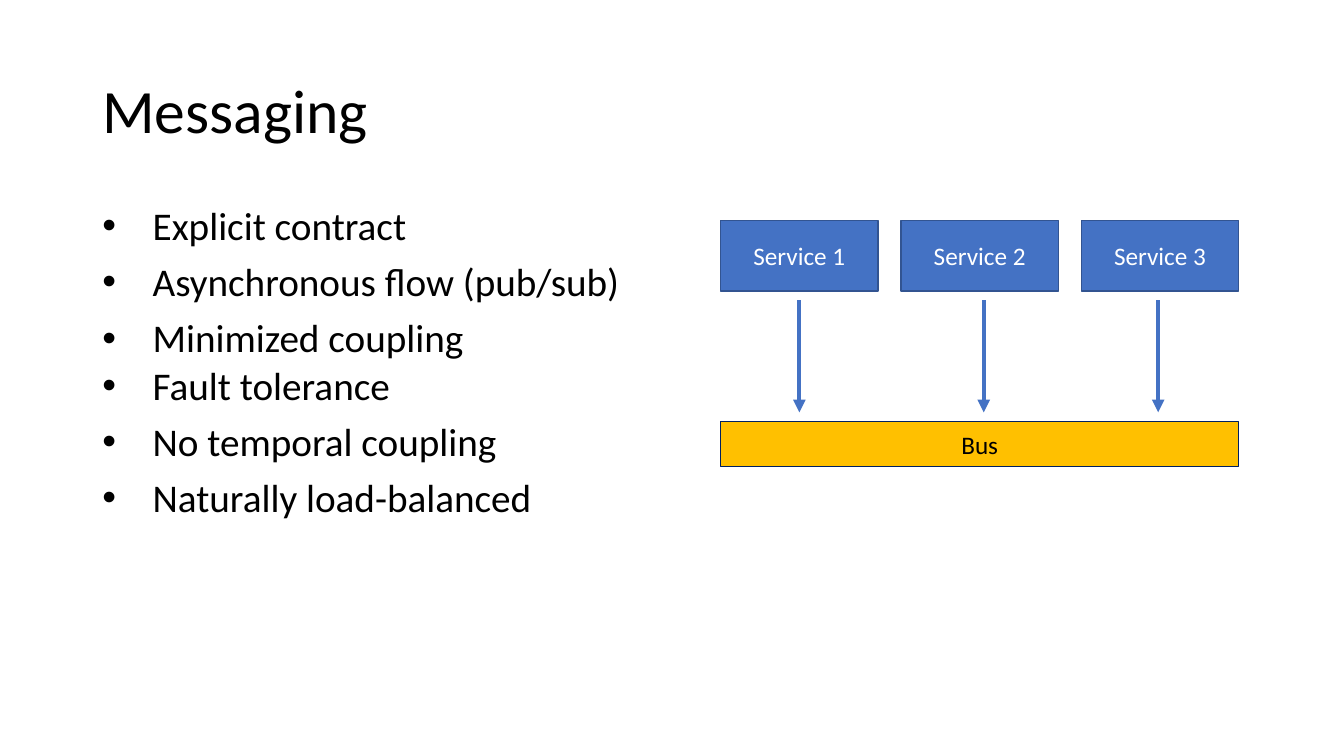
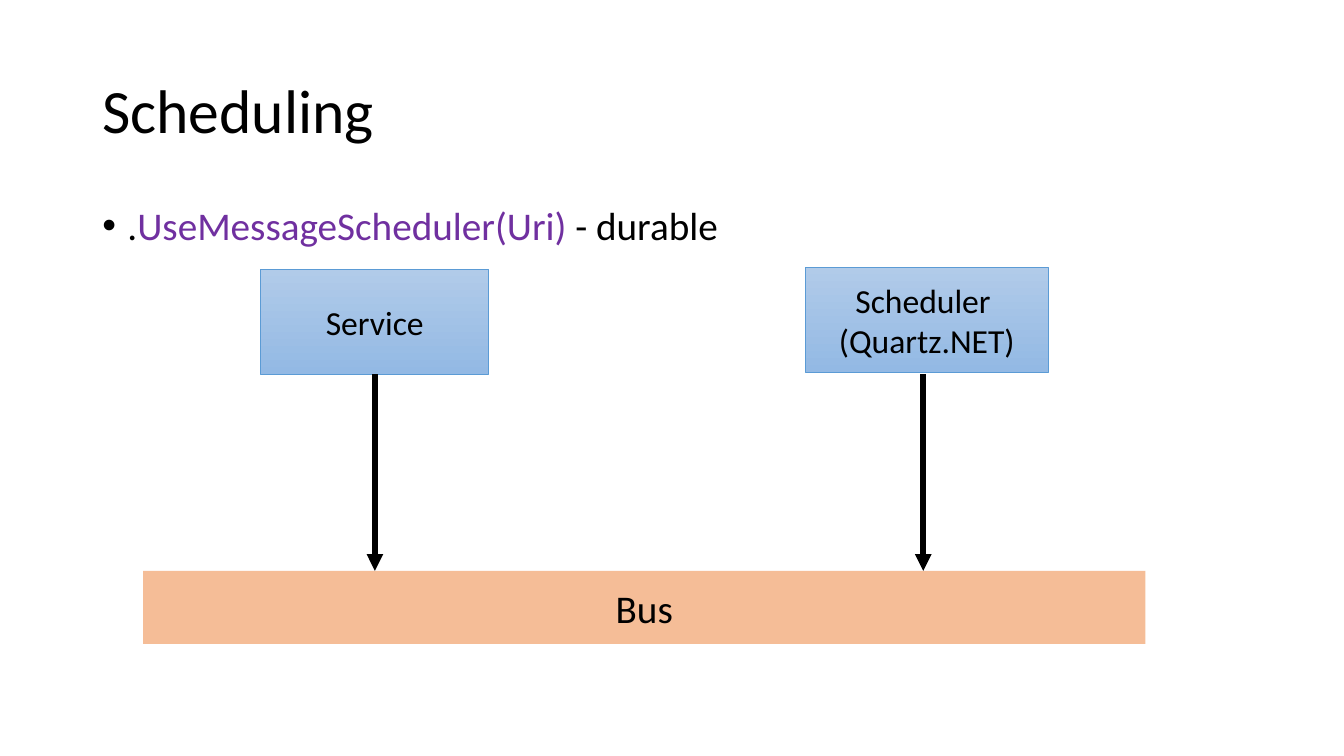
from dataclasses import dataclass
from typing import Optional, Sequence

from lxml.etree import SubElement
from pptx import Presentation
from pptx.dml.color import RGBColor
from pptx.enum.shapes import MSO_CONNECTOR, MSO_SHAPE
from pptx.enum.text import MSO_ANCHOR as Anchor, PP_ALIGN as Align
from pptx.oxml.ns import qn
from pptx.util import Pt

FONT = "Calibri"
BLACK = RGBColor(0x00, 0x00, 0x00)
WHITE = RGBColor(0xFF, 0xFF, 0xFF)
BLUE = RGBColor(0x44, 0x72, 0xC4)
DARK_BLUE = RGBColor(0x32, 0x54, 0x91)
NAVY = RGBColor(0x00, 0x20, 0x60)
GOLD = RGBColor(0xFF, 0xC0, 0x00)
ORANGE = RGBColor(0xED, 0x7D, 0x31)
PURPLE = RGBColor(0x70, 0x30, 0xA0)
SKY_LINE = RGBColor(0x5B, 0x9B, 0xD5)
SKY_TOP = RGBColor(0xB1, 0xCB, 0xE9)
SKY_BOTTOM = RGBColor(0x93, 0xB9, 0xE4)

MARGIN = 66
CONTENT_WIDTH = 828


@dataclass(frozen=True)
class Span:
    """A piece of text in one colour."""
    text: str
    color: RGBColor = BLACK


@dataclass(frozen=True)
class Bullet:
    """A bulleted line made of spans."""
    spans: Sequence[Span]
    indent: float = 36
    line_spacing: float = 0.9
    space_before: float = 10


@dataclass(frozen=True)
class BoxStyle:
    """The look of a labelled box; a second fill makes a gradient."""
    fill: RGBColor
    text_color: RGBColor
    size: float
    fill_end: Optional[RGBColor] = None
    opacity: int = 100
    line: Optional[RGBColor] = None
    line_width: float = 1


@dataclass(frozen=True)
class Box:
    """A labelled rectangle, in points."""
    label: str
    left: float
    top: float
    width: float
    height: float
    style: BoxStyle


@dataclass(frozen=True)
class Arrow:
    """A downward arrow, in points."""
    x: float
    top: float
    bottom: float
    color: RGBColor
    width: float


SERVICE_STYLE = BoxStyle(BLUE, WHITE, 18, line=DARK_BLUE)
GOLD_BUS_STYLE = BoxStyle(GOLD, BLACK, 18, line=NAVY)
SKY_STYLE = BoxStyle(SKY_TOP, BLACK, 24, fill_end=SKY_BOTTOM,
                     line=SKY_LINE, line_width=0.5)
ORANGE_BUS_STYLE = BoxStyle(ORANGE, BLACK, 28, opacity=50)


def style_font(font, size: float, color: Optional[RGBColor] = None) -> None:
    """Set typeface, size and, if given, colour."""
    font.name = FONT
    font.size = Pt(size)
    if color is not None:
        font.color.rgb = color


def add_text_frame(page, top: float, height: float):
    """Add a wrapping text box across the content width."""
    box = page.shapes.add_textbox(Pt(MARGIN), Pt(top), Pt(CONTENT_WIDTH), Pt(height))
    box.text_frame.word_wrap = True
    return box.text_frame


def add_title(page, title: str) -> None:
    """Add the slide title."""
    frame = add_text_frame(page, 28.75, 104.4)
    frame.vertical_anchor = Anchor.MIDDLE
    para = frame.paragraphs[0]
    para.text = title
    para.line_spacing = 0.9
    style_font(para.font, 44, BLACK)


def add_bullets(page, bullets: Sequence[Bullet]) -> None:
    """Add the bulleted body text."""
    frame = add_text_frame(page, 143.75, 342.7)
    for index, bullet in enumerate(bullets):
        para = frame.add_paragraph() if index else frame.paragraphs[0]
        para.line_spacing = bullet.line_spacing
        para.space_before = Pt(bullet.space_before)
        props = para._p.get_or_add_pPr()
        props.set("marL", str(Pt(bullet.indent)))
        props.set("indent", str(-Pt(bullet.indent)))
        SubElement(props, qn("a:buFont"), typeface="Arial")
        SubElement(props, qn("a:buChar"), char="•")
        style_font(para.font, 28)
        for span in bullet.spans:
            run = para.add_run()
            run.text = span.text
            run.font.color.rgb = span.color


def fill_box(shape, style: BoxStyle) -> None:
    """Apply the fill and outline of a box style."""
    fill = shape.fill
    if style.fill_end is not None:
        fill.gradient()
        fill.gradient_angle = 270
        for stop, color in zip(fill.gradient_stops, (style.fill, style.fill_end)):
            stop.color.rgb = color
    else:
        fill.solid()
        fill.fore_color.rgb = style.fill
        if style.opacity < 100:
            color = shape._element.spPr.find(qn("a:solidFill")).find(qn("a:srgbClr"))
            SubElement(color, qn("a:alpha"), val=str(style.opacity * 1000))
    if style.line is None:
        shape.line.fill.background()
    else:
        shape.line.color.rgb = style.line
        shape.line.width = Pt(style.line_width)


def add_box(page, box: Box) -> None:
    """Add a rectangle with a centred label."""
    shape = page.shapes.add_shape(MSO_SHAPE.RECTANGLE, Pt(box.left), Pt(box.top),
                                  Pt(box.width), Pt(box.height))
    shape.shadow.inherit = False
    fill_box(shape, box.style)
    frame = shape.text_frame
    frame.word_wrap = True
    frame.vertical_anchor = Anchor.MIDDLE
    para = frame.paragraphs[0]
    para.text = box.label
    para.alignment = Align.CENTER
    style_font(para.font, box.style.size, box.style.text_color)


def add_arrow(page, arrow: Arrow) -> None:
    """Add a straight arrow with a triangular head at the bottom."""
    connector = page.shapes.add_connector(MSO_CONNECTOR.STRAIGHT, Pt(arrow.x), Pt(arrow.top),
                                          Pt(arrow.x), Pt(arrow.bottom))
    connector.line.color.rgb = arrow.color
    connector.line.width = Pt(arrow.width)
    SubElement(connector.line._get_or_add_ln(), qn("a:tailEnd"), type="triangle")
    SubElement(connector._element.spPr, qn("a:effectLst"))


def add_page(deck, title: str, bullets: Sequence[Bullet],
             boxes: Sequence[Box], arrows: Sequence[Arrow]) -> None:
    """Add a slide with title, bullets and a diagram."""
    page = deck.slides.add_slide(deck.slide_layouts[6])
    add_title(page, title)
    add_bullets(page, bullets)
    for box in boxes:
        add_box(page, box)
    for arrow in arrows:
        add_arrow(page, arrow)


def add_messaging(deck) -> None:
    """Add the slide of three services on one bus."""
    bullets = [
        Bullet([Span("Explicit contract")]),
        Bullet([Span("Asynchronous flow (pub/sub)")]),
        Bullet([Span("Minimized coupling")]),
        Bullet([Span("Fault tolerance")], line_spacing=1.0, space_before=0),
        Bullet([Span("No temporal coupling")]),
        Bullet([Span("Naturally load-balanced")]),
    ]
    left, bus_width, service_width = 514.8, 370, 112.4
    step = (bus_width - service_width) / 2
    boxes = [Box(f"Service {index + 1}", left + index * step, 157.5, service_width, 50.5,
                 SERVICE_STYLE) for index in range(3)]
    boxes.append(Box("Bus", left, 301, bus_width, 32.4, GOLD_BUS_STYLE))
    arrows = [Arrow(x, 214.5, 294.5, BLUE, 3) for x in (571, 702.7, 827.3)]
    add_page(deck, "Messaging", bullets, boxes, arrows)


def add_scheduling(deck) -> None:
    """Add the slide of a service and a scheduler on one bus."""
    bullets = [Bullet([Span("."), Span("UseMessageScheduler(Uri) ", PURPLE),
                       Span("- durable")], indent=18)]
    bus_top = 407.75
    boxes = [
        Box("Service", 186.25, 192.25, 163, 75, SKY_STYLE),
        Box("Scheduler \v(Quartz.NET)", 575.3, 191, 173.5, 75, SKY_STYLE),
        Box("Bus", 102.2, bus_top, 716, 52.25, ORANGE_BUS_STYLE),
    ]
    arrows = [Arrow(x, 267.25, bus_top, BLACK, 4) for x in (267.8, 659.5)]
    add_page(deck, "Scheduling", bullets, boxes, arrows)


def main() -> None:
    """Build and save the deck."""
    deck = Presentation()
    deck.slide_width = Pt(960)
    deck.slide_height = Pt(540)
    add_messaging(deck)
    add_scheduling(deck)
    deck.save("out.pptx")


main()
